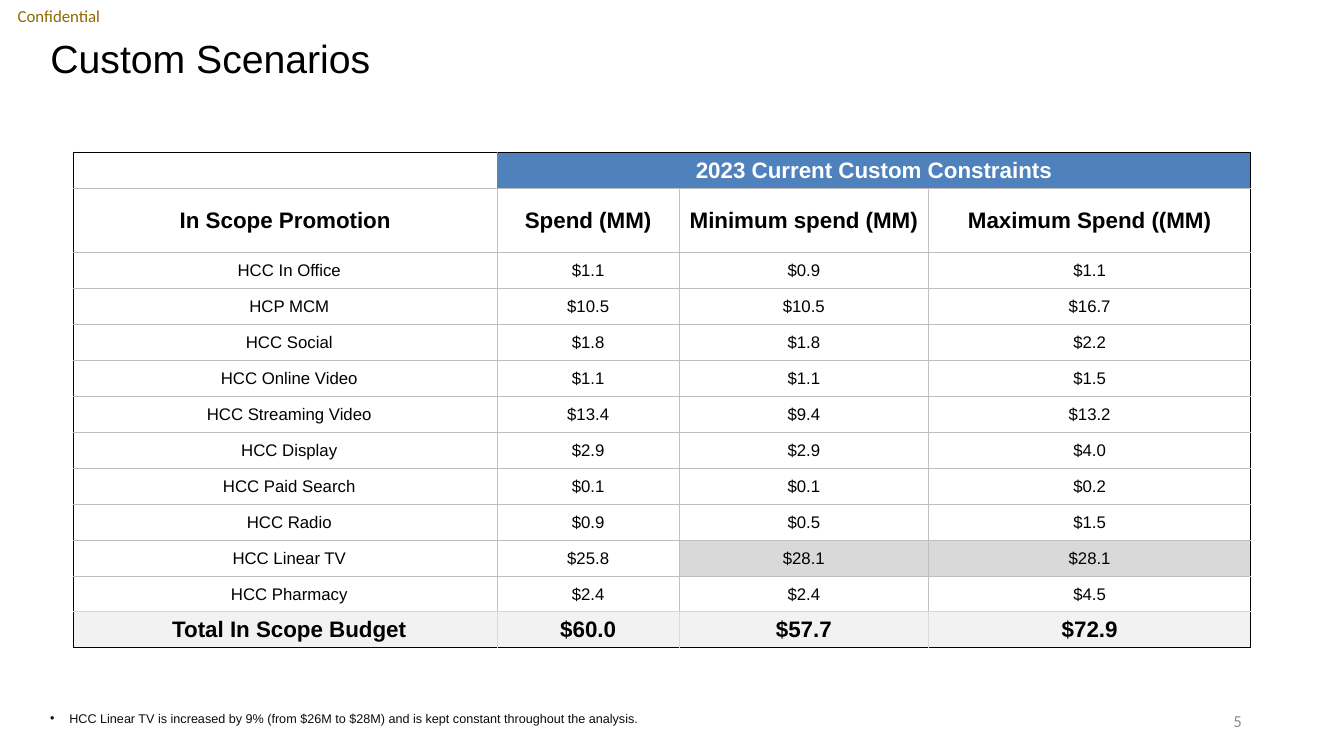
from dataclasses import dataclass

from lxml import etree
from pptx import Presentation
from pptx.dml.color import RGBColor
from pptx.enum.text import MSO_ANCHOR, MSO_AUTO_SIZE, PP_ALIGN
from pptx.oxml.ns import qn
from pptx.util import Inches, Pt

LEFT, CENTER, RIGHT = PP_ALIGN.LEFT, PP_ALIGN.CENTER, PP_ALIGN.RIGHT
TOP, MIDDLE = MSO_ANCHOR.TOP, MSO_ANCHOR.MIDDLE
NO_FIT = MSO_AUTO_SIZE.NONE
GRID = 0.1


@dataclass(frozen=True)
class Theme:
    body: str = "Arial"
    label: str = "Calibri"
    black: str = "000000"
    white: str = "FFFFFF"
    gold: str = "8E6A00"
    number: str = "8C8C8C"
    note: str = "0D0D0D"
    blue: str = "4F81BD"
    fixed: str = "D9D9D9"
    total: str = "F2F2F2"
    rule: str = "BFBFBF"
    header_rule: str = "808080"
    title_size: float = 28
    head_size: float = 16
    text_size: float = 12
    note_size: float = 9
    outer: float = 1
    inner: float = 0.5


@dataclass(frozen=True)
class Box:
    col: float
    row: float
    cols: float
    rows: float

    def emu(self) -> list[int]:
        return [span(n) for n in (self.col, self.row, self.cols, self.rows)]


@dataclass(frozen=True)
class Style:
    size: float
    color: str
    name: str
    bold: bool = False
    align: PP_ALIGN = LEFT
    anchor: MSO_ANCHOR = MIDDLE


@dataclass(frozen=True)
class Label:
    text: str
    box: Box
    style: Style
    margin: float = 1
    bullet: bool = False


@dataclass(frozen=True)
class Line:
    color: str
    width: float


T = Theme()
TITLE = Label("Custom Scenarios", Box(4, 4, 120, 4), Style(T.title_size, T.black, T.body))
LABELS = [
    Label("Confidential", Box(0, 0, 11.7, 3.2),
          Style(T.text_size, T.gold, T.label, align=CENTER), margin=0),
    Label("5", Box(94.2, 69.5, 30, 4), Style(T.text_size, T.number, T.label, align=RIGHT)),
    Label("HCC Linear TV is increased by 9% (from $26M to $28M) and is kept constant "
          "throughout the analysis.", Box(4, 70, 120, 2.5),
          Style(T.note_size, T.note, T.body, anchor=TOP), bullet=True),
]
TABLE_BOX = Box(7.3, 15.1, 116.7, 49.2)
COLUMNS = (42, 18.1, 24.7, 32)
HEADING_ROWS = 6.4
BUDGET = [
    ("", "2023 Current Custom Constraints", "", ""),
    ("In Scope Promotion", "Spend (MM)", "Minimum spend (MM)", "Maximum Spend ((MM)"),
    ("HCC In Office", "$1.1", "$0.9", "$1.1"),
    ("HCP MCM", "$10.5", "$10.5", "$16.7"),
    ("HCC Social", "$1.8", "$1.8", "$2.2"),
    ("HCC Online Video", "$1.1", "$1.1", "$1.5"),
    ("HCC Streaming Video", "$13.4", "$9.4", "$13.2"),
    ("HCC Display", "$2.9", "$2.9", "$4.0"),
    ("HCC Paid Search", "$0.1", "$0.1", "$0.2"),
    ("HCC Radio", "$0.9", "$0.5", "$1.5"),
    ("HCC Linear TV", "$25.8", "$28.1", "$28.1"),
    ("HCC Pharmacy", "$2.4", "$2.4", "$4.5"),
    ("Total In Scope Budget", "$60.0", "$57.7", "$72.9"),
]
LAST_ROW, LAST_COL = len(BUDGET) - 1, len(COLUMNS) - 1
FILLS = {(0, 1): T.blue, (10, 2): T.fixed, (10, 3): T.fixed}
FILLS.update({(LAST_ROW, c): T.total for c in range(len(COLUMNS))})


def span(units: float) -> int:
    return Inches(units * GRID)


def write(p, text: str, style: Style) -> None:
    p.alignment = style.align
    r = p.add_run()
    r.text = text
    for key, value in {"name": style.name, "size": Pt(style.size), "bold": style.bold}.items():
        setattr(r.font, key, value)
    r.font.color.rgb = RGBColor.from_string(style.color)


def add_bullet(p) -> None:
    pPr = p._p.get_or_add_pPr()
    pPr.set("marL", str(span(1.9)))
    pPr.set("indent", str(-span(1.9)))
    etree.SubElement(pPr, qn("a:buFont"), typeface="Arial")
    etree.SubElement(pPr, qn("a:buChar"), char="•")


def fill_label(sp, label: Label) -> None:
    tf = sp.text_frame
    frame = {"word_wrap": True, "auto_size": NO_FIT, "vertical_anchor": label.style.anchor,
             "margin_left": span(label.margin), "margin_right": span(label.margin),
             "margin_top": span(label.margin / 2), "margin_bottom": span(label.margin / 2)}
    for key, value in frame.items():
        setattr(tf, key, value)
    p = tf.paragraphs[0]
    if label.bullet:
        add_bullet(p)
    write(p, label.text, label.style)


def add_title(s, label: Label) -> None:
    sp = s.shapes.title
    for key, value in zip(("left", "top", "width", "height"), label.box.emu()):
        setattr(sp, key, value)
    fill_label(sp, label)
    sp.text_frame.paragraphs[0].line_spacing = 0.9


def cell_lines(row: int, col: int) -> dict[str, Line]:
    outer = Line(T.black, T.outer)
    rule = Line(T.rule, T.inner)
    pale = Line(T.fixed, T.inner)
    side = {0: Line(T.header_rule, T.inner), LAST_ROW: pale}.get(row, rule)
    end = LAST_COL if row == 0 and col else col
    return {
        "a:lnL": outer if col == 0 else side,
        "a:lnR": outer if end == LAST_COL else side,
        "a:lnT": outer if row == 0 else pale if row == LAST_ROW else rule,
        "a:lnB": outer if row == LAST_ROW else pale if row == LAST_ROW - 1 else rule,
    }


def draw_lines(cell, lines: dict[str, Line]) -> None:
    tcPr = cell._tc.get_or_add_tcPr()
    for i, (tag, line) in enumerate(lines.items()):
        ln = etree.Element(qn(tag), w=str(Pt(line.width)))
        solid = etree.SubElement(ln, qn("a:solidFill"))
        etree.SubElement(solid, qn("a:srgbClr"), val=line.color)
        tcPr.insert(i, ln)


def format_cell(cell, row: int, col: int) -> None:
    strong = row < 2 or row == LAST_ROW
    style = Style(T.head_size if strong else T.text_size, T.black if row else T.white,
                  T.body, strong, CENTER)
    layout = {"vertical_anchor": MIDDLE, "margin_left": span(0.9 if row > 1 and not col else 0.1),
              "margin_right": span(0.1), "margin_top": span(0.1), "margin_bottom": 0}
    for key, value in layout.items():
        setattr(cell, key, value)
    if BUDGET[row][col]:
        write(cell.text_frame.paragraphs[0], BUDGET[row][col], style)
    if (row, col) in FILLS:
        cell.fill.solid()
        cell.fill.fore_color.rgb = RGBColor.from_string(FILLS[row, col])
    else:
        cell.fill.background()
    draw_lines(cell, cell_lines(row, col))


def add_budget_table(s) -> None:
    table = s.shapes.add_table(len(BUDGET), len(COLUMNS), *TABLE_BOX.emu()).table
    table.first_row = table.horz_banding = False
    for column, units in zip(table.columns, COLUMNS):
        column.width = span(units)
    row_units = (TABLE_BOX.rows - HEADING_ROWS) / LAST_ROW
    for i, row in enumerate(table.rows):
        row.height = span(HEADING_ROWS if i == 1 else row_units)
        for j, cell in enumerate(row.cells):
            format_cell(cell, i, j)
    table.cell(0, 1).merge(table.cell(0, LAST_COL))


def main() -> None:
    prs = Presentation()
    prs.slide_width, prs.slide_height = span(133.33), span(75)
    s = prs.slides.add_slide(prs.slide_layouts[5])
    add_title(s, TITLE)
    add_budget_table(s)
    for label in LABELS:
        fill_label(s.shapes.add_textbox(*label.box.emu()), label)
    prs.save("out.pptx")


if __name__ == "__main__":
    main()
